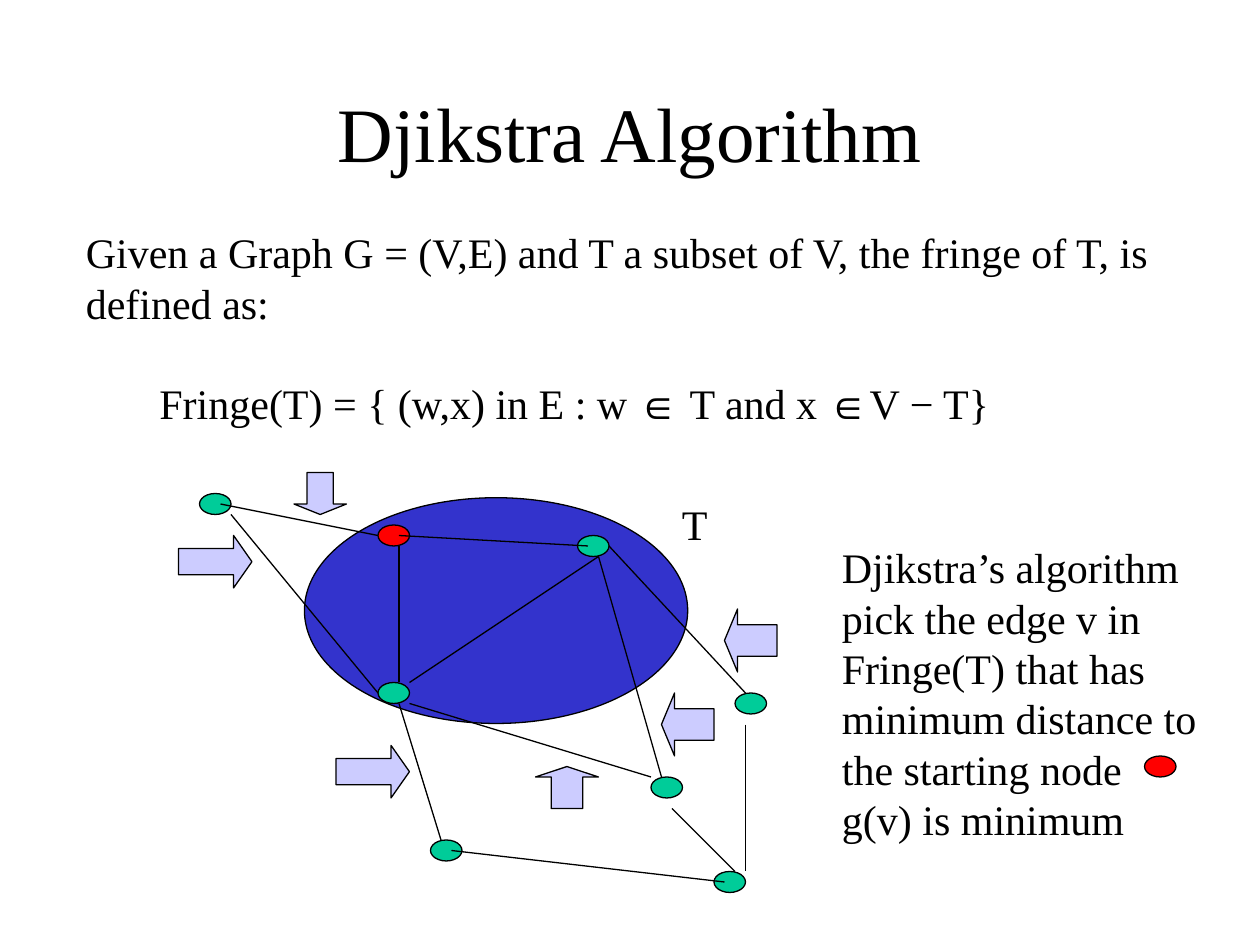
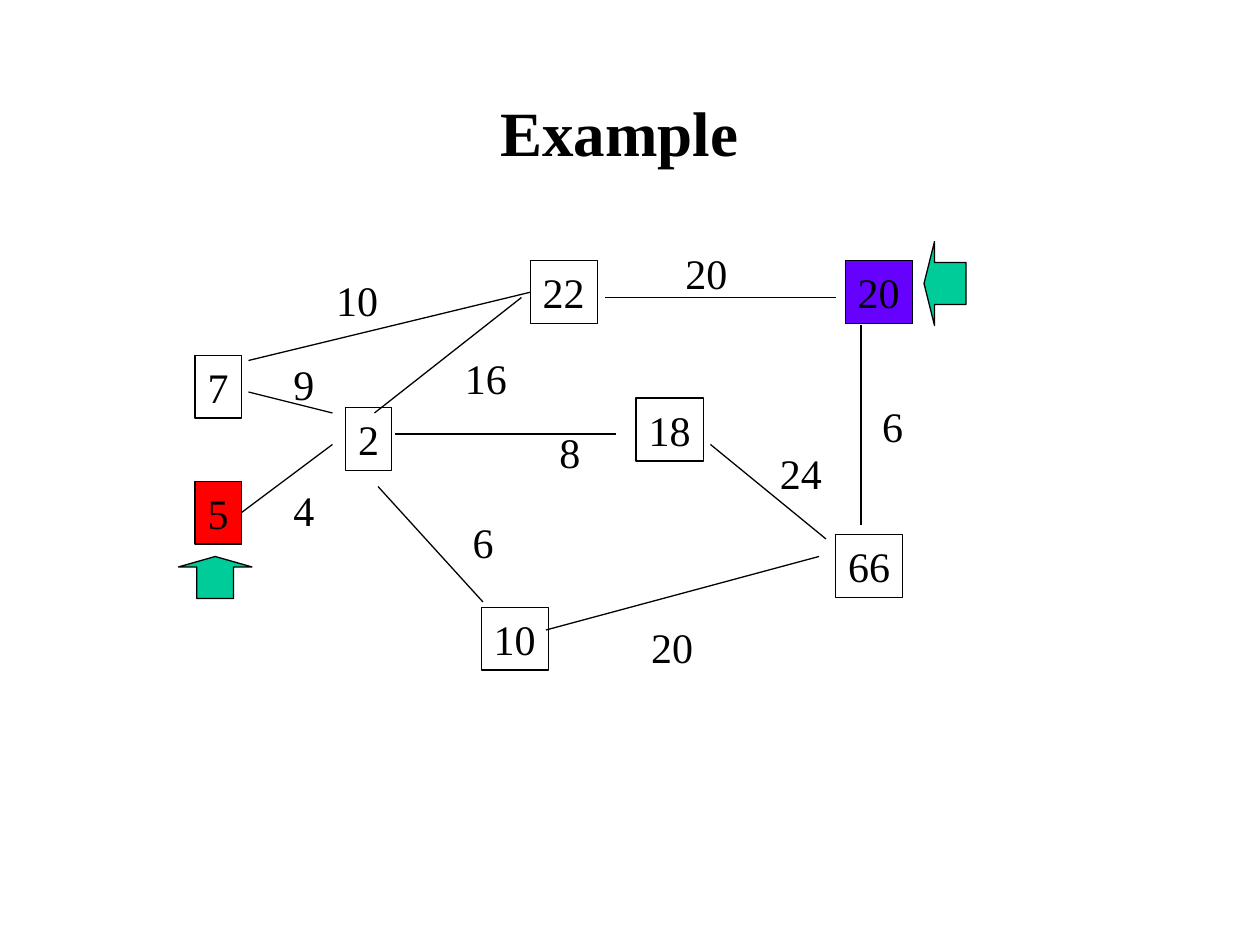
from dataclasses import dataclass

from lxml import etree
from pptx import Presentation
from pptx.dml.color import RGBColor
from pptx.enum.shapes import MSO_CONNECTOR, MSO_SHAPE as SHAPE
from pptx.enum.text import MSO_ANCHOR, PP_ALIGN
from pptx.oxml.ns import qn
from pptx.util import Pt


@dataclass(frozen=True)
class Theme:
    ink: str = "000000"
    region: str = "3333CC"
    vertex: str = "00CC99"
    start: str = "FF0000"
    goal: str = "6600FF"
    pointer: str = "CCCCFF"
    font: str = "Times New Roman"
    symbol_font: str = "Arial"
    title: float = 44
    subtitle: float = 36
    body: float = 24
    leading: float = 28.8
    line: float = 0.75


class Deck:
    """Draws elements in one theme on the current slide, with lengths in points."""

    def __init__(self, theme):
        self.theme = theme
        self.prs = Presentation()
        self.prs.slide_width, self.prs.slide_height = Pt(720), Pt(540)
        self.slide = None

    def add_slide(self, title, left, size, bold=False):
        self.slide = self.prs.slides.add_slide(self.prs.slide_layouts[6])
        tf = self.text([title], left, 30, 612, 90)
        tf.vertical_anchor = MSO_ANCHOR.MIDDLE
        p = tf.paragraphs[0]
        p.alignment = PP_ALIGN.CENTER
        p.line_spacing = None
        p.font.size, p.font.bold = Pt(size), bold

    def style(self, p):
        p.alignment = PP_ALIGN.LEFT
        p.line_spacing = Pt(self.theme.leading)
        p.font.name, p.font.size = self.theme.font, Pt(self.theme.body)
        p.font.color.rgb = RGBColor.from_string(self.theme.ink)

    def text(self, lines, x, y, w, h):
        s = self.slide.shapes.add_textbox(Pt(x), Pt(y), Pt(w), Pt(h))
        tf = s.text_frame
        tf.word_wrap = True
        tf.text = "\n".join(lines)
        for p in tf.paragraphs:
            self.style(p)
        return tf

    def label(self, text, x, y):
        self.text([text], x, y, self.fit(text), 36).word_wrap = False

    def fit(self, text):
        return 14.4 + self.theme.body / 2 * len(text)

    def formula(self, p, parts):
        p.space_before = Pt(self.theme.leading)
        p._p.get_or_add_pPr().set("marL", str(Pt(42)))
        self.style(p)
        for part in parts:
            r = p.add_run()
            r.text = part
            r.font.name = self.theme.symbol_font if part == "∈" else self.theme.font

    def shape(self, kind, x, y, w, h, fill=None):
        s = self.slide.shapes.add_shape(kind, Pt(x), Pt(y), Pt(w), Pt(h))
        s.shadow.inherit = False
        if fill:
            s.fill.solid()
            s.fill.fore_color.rgb = RGBColor.from_string(fill)
        else:
            s.fill.background()
        s.line.color.rgb = RGBColor.from_string(self.theme.ink)
        s.line.width = Pt(self.theme.line)
        return s

    def vertex(self, x, y, fill):
        self.shape(SHAPE.OVAL, x, y, 18, 12, fill)

    def arrow(self, kind, x, y, w, h, fill):
        s = self.shape(kind, x, y, w, h, fill)
        s.adjustments[0] = 0.5
        s.adjustments[1] = 0.35 if kind == SHAPE.RIGHT_ARROW else 0.25

    def node(self, text, x, y, fill=None):
        s = self.shape(SHAPE.RECTANGLE, x, y, self.fit(text), 36, fill)
        tf = s.text_frame
        tf.word_wrap = False
        tf.vertical_anchor = MSO_ANCHOR.TOP
        tf.text = text
        self.style(tf.paragraphs[0])
        return s

    def edge(self, x1, y1, x2, y2):
        c = self.slide.shapes.add_connector(
            MSO_CONNECTOR.STRAIGHT, Pt(x1), Pt(y1), Pt(x2), Pt(y2))
        c.line.color.rgb = RGBColor.from_string(self.theme.ink)
        c.line.width = Pt(self.theme.line)
        etree.SubElement(c._element.spPr, qn("a:effectLst"))
        return c


def fringe_slide(deck):
    t = deck.theme
    deck.add_slide("Djikstra Algorithm", 54, t.title)
    deck.shape(SHAPE.OVAL, 174, 284.4, 219, 129, t.region)
    deck.label("T", 382.5, 281.5)

    for x, y in [(114, 282), (216, 390), (330, 306), (420, 396),
                 (246, 480), (372, 444), (408, 498)]:
        deck.vertex(x, y, t.vertex)
    for x, y in [(216, 300), (654, 432)]:
        deck.vertex(x, y, t.start)

    for ends in [(132, 294, 216, 396), (228, 390, 228, 312),
                 (234, 390, 342, 318), (228, 402, 252, 480),
                 (234, 402, 372, 444), (228, 306, 336, 312),
                 (216, 306, 126, 288), (342, 318, 378, 444),
                 (258, 486, 414, 504), (348, 312, 426, 396),
                 (384, 462, 420, 498), (426, 414, 426, 498)]:
        deck.edge(*ends)

    tf = deck.text(["Given a Graph G = (V,E) and T a subset of V, "
                    "the fringe of T, is defined as:"], 42, 126, 654, 122.4)
    deck.formula(tf.add_paragraph(), ["Fringe(T) = { (w,x) in E : w ", "∈",
                                      " T and x ", "∈", "V − T}"])

    for kind, x, y, w, h in [(SHAPE.RIGHT_ARROW, 102, 306, 42, 30),
                             (SHAPE.DOWN_ARROW, 168, 270, 30, 24),
                             (SHAPE.LEFT_ARROW, 414, 348, 30, 36),
                             (SHAPE.LEFT_ARROW, 378, 396, 30, 36),
                             (SHAPE.RIGHT_ARROW, 192, 426, 42, 30),
                             (SHAPE.UP_ARROW, 306, 438, 36, 24)]:
        deck.arrow(kind, x, y, w, h, t.pointer)

    deck.text(["Djikstra’s algorithm pick the edge v in Fringe(T) that has "
               "minimum distance to the starting node", "g(v) is minimum"],
              474, 306, 233.3, 180)


def example_slide(deck):
    t = deck.theme
    deck.add_slide("Example", 48, t.subtitle, bold=True)

    for text, x, y in [("2", 197.5, 233), ("7", 111.5, 203), ("10", 275, 347),
                       ("18", 363.5, 227.5), ("66", 477.5, 305.5)]:
        deck.node(text, x, y)
    start = deck.node("5", 111.5, 275, t.start)
    node_22 = deck.node("22", 303, 149)
    deck.node("20", 483, 149, t.goal)

    for ends in [(142, 224, 190, 236), (216, 278, 276, 344),
                 (226, 248, 352, 248), (214, 236, 298, 170),
                 (312, 360, 468, 318), (406, 254, 472, 308),
                 (346, 170, 478, 170), (492, 300, 492, 186)]:
        deck.edge(*ends)
    deck.edge(136, 290, 190, 254).begin_connect(start, 3)
    deck.edge(142, 206, 304, 164).end_connect(node_22, 1)

    for weight, x, y in [("10", 185, 153.5), ("20", 384.5, 138),
                         ("16", 258.5, 198), ("4", 160.5, 273.5),
                         ("6", 263, 291.5), ("8", 312.5, 240),
                         ("24", 438.5, 252), ("20", 365, 351.5),
                         ("6", 497, 225.5), ("9", 160.5, 201.5)]:
        deck.label(weight, x, y)

    deck.arrow(SHAPE.UP_ARROW, 102, 318, 42, 24, t.vertex)
    deck.arrow(SHAPE.LEFT_ARROW, 528, 138, 24, 48, t.vertex)


def main():
    deck = Deck(Theme())
    fringe_slide(deck)
    example_slide(deck)
    deck.prs.save("out.pptx")


if __name__ == "__main__":
    main()
